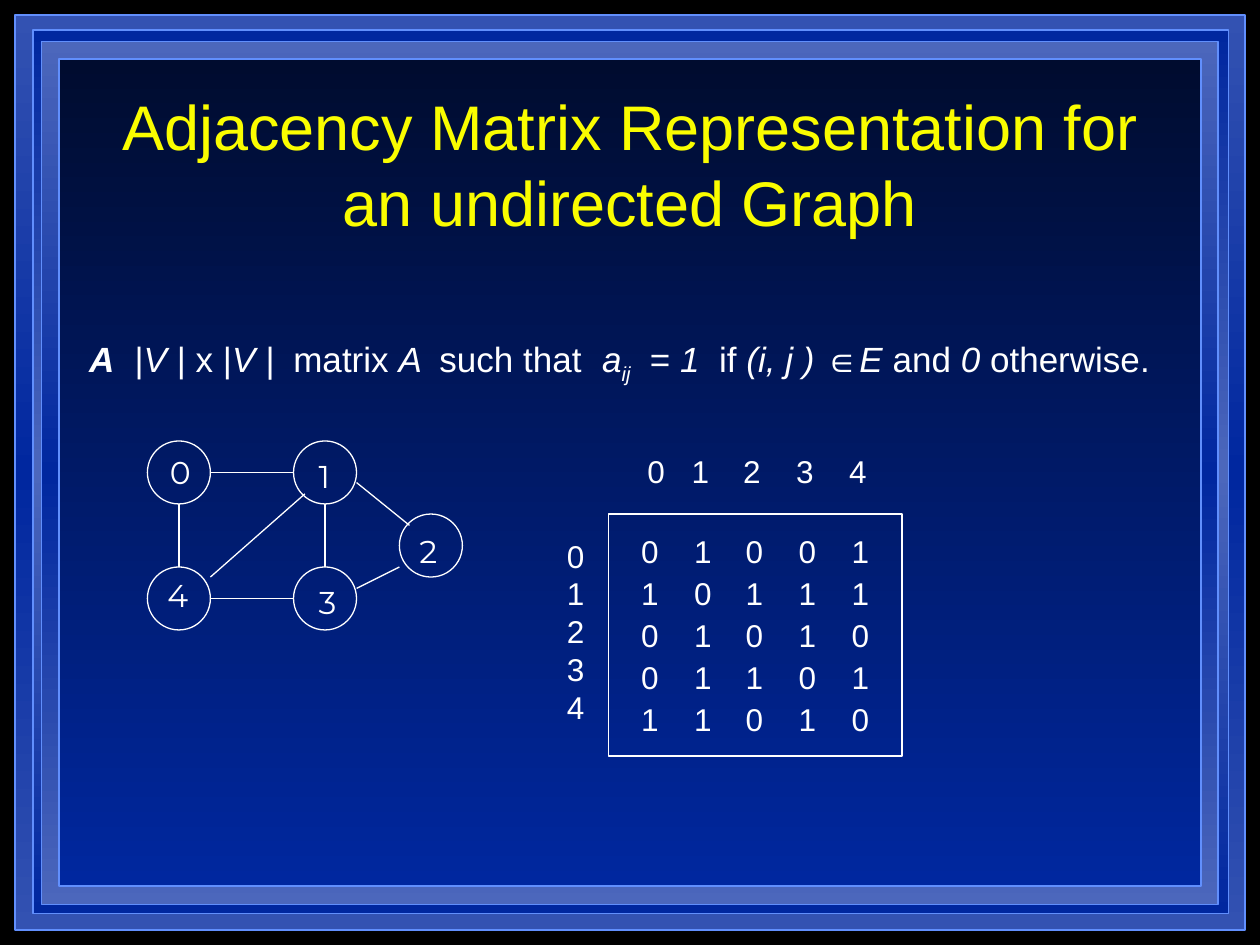
from copy import deepcopy
from pptx import Presentation
from pptx.dml.color import RGBColor
from pptx.enum.shapes import MSO_CONNECTOR as CONN, MSO_SHAPE as SHAPE
from pptx.enum.text import MSO_ANCHOR as ANCHOR, PP_ALIGN as ALIGN
from pptx.oxml.ns import qn
from pptx.oxml.xmlchemy import OxmlElement
from pptx.util import Inches, Pt

WHITE, YELLOW, EDGE = "FFFFFF", "FAFD00", "618FFD"
NAVY, BLUE, MID, PALE = "000C2F", "00279F", "3352B2", "4C67BC"
FRAMES = [
    ((0.12, 0.12, 9.76, 7.26), (MID, BLUE, MID)),
    ((0.26, 0.24, 9.49, 7.01), (BLUE, PALE, BLUE)),
    ((0.33, 0.33, 9.34, 6.85), (PALE, BLUE, PALE)),
    ((0.47, 0.47, 9.06, 6.56), (NAVY, BLUE)),
]
BODY = {"size": Pt(18), "name": "Arial"}
ROMAN = {"size": Pt(20), "name": "Arial"}
ITALIC = {**ROMAN, "italic": True}
DEFINITION = [
    ("A", {**ITALIC, "bold": True}), ("\t|", ROMAN), ("V", ITALIC),
    (" | x |", ROMAN), ("V |", ITALIC), ("\tmatrix ", ROMAN), ("A", ITALIC),
    ("\tsuch that\t", ROMAN), ("a", ITALIC), ("ij", ITALIC), ("\t= ", ROMAN),
    ("1", ITALIC), ("\tif ", ROMAN), ("(i, j ) ", ITALIC), ("∈", ROMAN),
    ("E", ITALIC), (" and ", ROMAN), ("0", ITALIC), (" otherwise.", ROMAN),
]
NODES = [  # each: label, circle offset, label offset
    ("0", (0, 0), (0.08, 0.05)),
    ("4", (0, 1), (0.06, 1.02)),
    ("1", (1.16, 0), (1.26, 0.08)),
    ("3", (1.16, 1), (1.26, 1.08)),
    ("2", (2, 0.58), (2.06, 0.67)),
]
EDGES = [
    (0.5, 1.08, 1.25, 0.42), (0.25, 1, 0.25, 0.5), (0.5, 0.25, 1.16, 0.25),
    (0.5, 1.25, 1.16, 1.25), (1.41, 0.5, 1.41, 1), (1.66, 0.33, 2.08, 0.67),
    (1.66, 1.17, 2, 1),
]
MATRIX = ["01001", "10111", "01010", "01101", "11010"]


def rgb(value):
    """Turn a hex string into a colour."""
    return RGBColor.from_string(value)


def style(font, fmt, color):
    """Apply a dict of font values and a colour."""
    for key, value in fmt.items():
        setattr(font, key, value)
    font.color.rgb = rgb(color)


def add_tabs(p, stops):
    """Give a paragraph left tab stops, in inches."""
    tabs = OxmlElement("a:tabLst")
    for stop in stops:
        tab = OxmlElement("a:tab")
        tab.set("pos", str(Inches(stop)))
        tab.set("algn", "l")
        tabs.append(tab)
    p._p.get_or_add_pPr().append(tabs)


def add_text(slide, box, paragraphs, color=WHITE, tabs=(), align=ALIGN.LEFT,
             anchor=ANCHOR.TOP, wrap=False):
    """Add a text box; each paragraph is a list of (text, format) runs."""
    tf = slide.shapes.add_textbox(*map(Inches, box)).text_frame
    tf.word_wrap, tf.vertical_anchor = wrap, anchor
    for i, runs in enumerate(paragraphs):
        p = tf.add_paragraph() if i else tf.paragraphs[0]
        p.alignment = align
        if tabs:
            add_tabs(p, tabs)
        for text, fmt in runs:
            r = p.add_run()
            r.text = text
            style(r.font, fmt, color)
    return tf


def add_outline(slide, kind, box, color=WHITE, width=0.75):
    """Add an unfilled, outlined preset shape."""
    s = slide.shapes.add_shape(kind, *map(Inches, box))
    s.shadow.inherit = False
    s.fill.background()
    s.line.color.rgb = rgb(color)
    s.line.width = Pt(width)
    return s


def add_frame(slide, box, colors):
    """Add a rectangle with an evenly spaced vertical gradient."""
    s = add_outline(slide, SHAPE.RECTANGLE, box, EDGE, 1)
    s.fill.gradient()
    s.fill.gradient_angle = 270
    stops = s._element.spPr.find(".//" + qn("a:gsLst"))
    while len(stops) < len(colors):
        stops.append(deepcopy(stops[-1]))
    for i, (stop, color) in enumerate(zip(s.fill.gradient_stops, colors)):
        stop.color.rgb = rgb(color)
        stop.position = i / (len(colors) - 1)


def add_edge(slide, x1, y1, x2, y2):
    """Add a thin white line."""
    s = slide.shapes.add_connector(CONN.STRAIGHT, *map(Inches, (x1, y1, x2, y2)))
    s.line.color.rgb = rgb(WHITE)
    s.line.width = Pt(0.75)
    s._element.spPr.append(OxmlElement("a:effectLst"))


def add_definition(slide, box):
    """Add the sentence that defines the matrix."""
    tf = add_text(slide, box, [DEFINITION], anchor=ANCHOR.MIDDLE, wrap=True,
                  tabs=(0.36, 1.62, 2.78, 4.07, 4.45, 5))
    for r in tf.paragraphs[0].runs:
        if r.text == "ij":
            r.font._element.set("baseline", "-25000")


def add_graph(slide, left, top):
    """Add the circles, edges and labels of the graph."""
    for _, (x, y), _ in NODES:
        add_outline(slide, SHAPE.OVAL, (left + x, top + y, 0.5, 0.5))
    for x1, y1, x2, y2 in EDGES:
        add_edge(slide, left + x1, top + y1, left + x2, top + y2)
    for label, _, (x, y) in NODES:
        add_text(slide, (left + x, top + y, 0.34, 0.4),
                 [[(label, {**BODY, "name": "Montserrat"})]])


def add_matrix(slide, left, top, width, height):
    """Add the bordered matrix with its row and column headings."""
    digits = [str(i) for i in range(len(MATRIX))]
    add_text(slide, (left + 0.21, top - 0.54, 2.15, 0.4),
             [[("\t".join(digits), BODY)]], wrap=True,
             tabs=(0.35, 0.76, 1.18, 1.6))
    add_text(slide, (left - 0.43, top + 0.13, 0.34, 1.6),
             [[(d, BODY)] for d in digits])
    add_outline(slide, SHAPE.RECTANGLE, (left, top, width, height))
    for i, row in enumerate(MATRIX):
        add_text(slide, (left + 0.16, top + 0.09 + i * 0.335, 2.15, 0.4),
                 [[("\t".join(row), BODY)]], wrap=True,
                 tabs=(0.42, 0.83, 1.25, 1.67))


def main():
    """Build and save the slide."""
    prs = Presentation()
    prs.slide_width, prs.slide_height = Inches(10), Inches(7.5)
    slide = prs.slides.add_slide(prs.slide_layouts[6])
    slide.background.fill.solid()
    slide.background.fill.fore_color.rgb = rgb("000000")
    for box, colors in FRAMES:
        add_frame(slide, box, colors)
    add_definition(slide, (0.61, 1.83, 9, 2.08))
    add_graph(slide, 1.17, 3.5)
    add_matrix(slide, 4.83, 4.08, 2.33, 1.92)
    title = "Adjacency Matrix Representation for an undirected Graph"
    add_text(slide, (0.75, 0.67, 8.5, 1.25),
             [[(title, {"size": Pt(36), "name": "Arial"})]], YELLOW,
             align=ALIGN.CENTER, anchor=ANCHOR.MIDDLE, wrap=True)
    prs.save("out.pptx")


if __name__ == "__main__":
    main()
